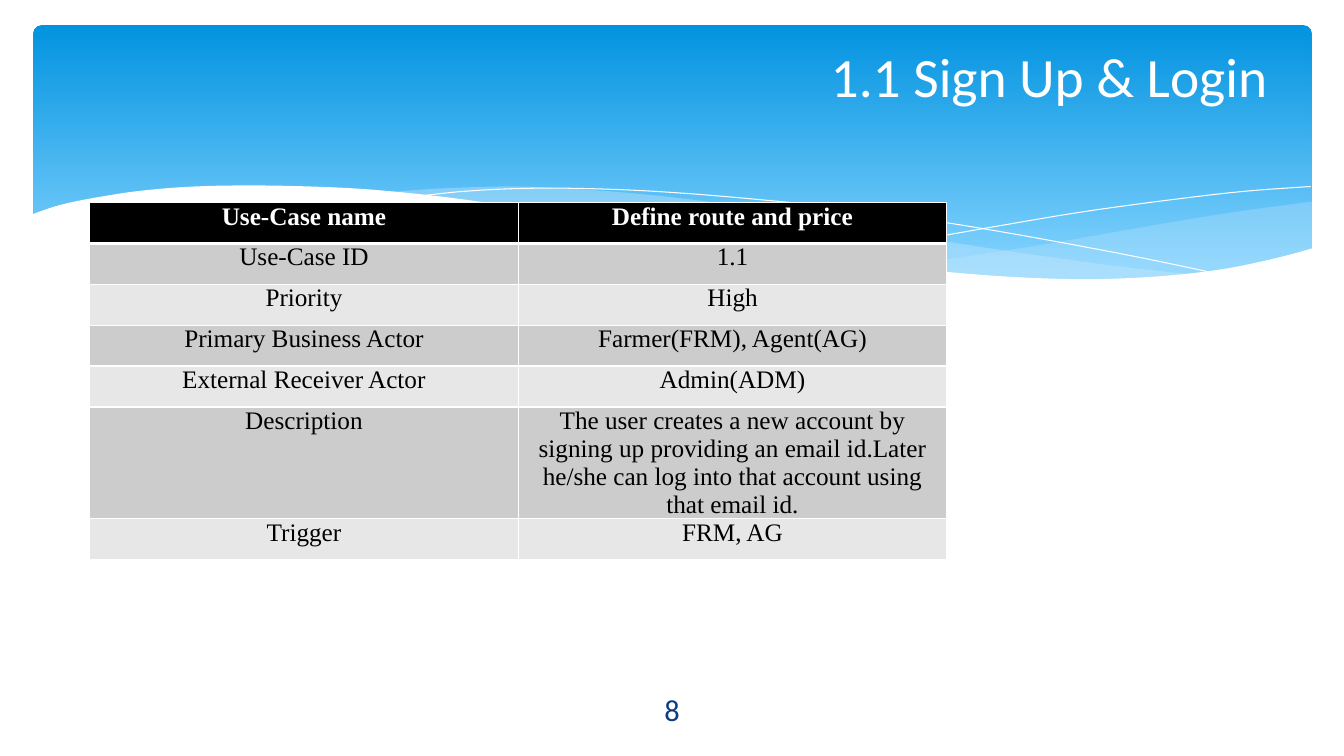
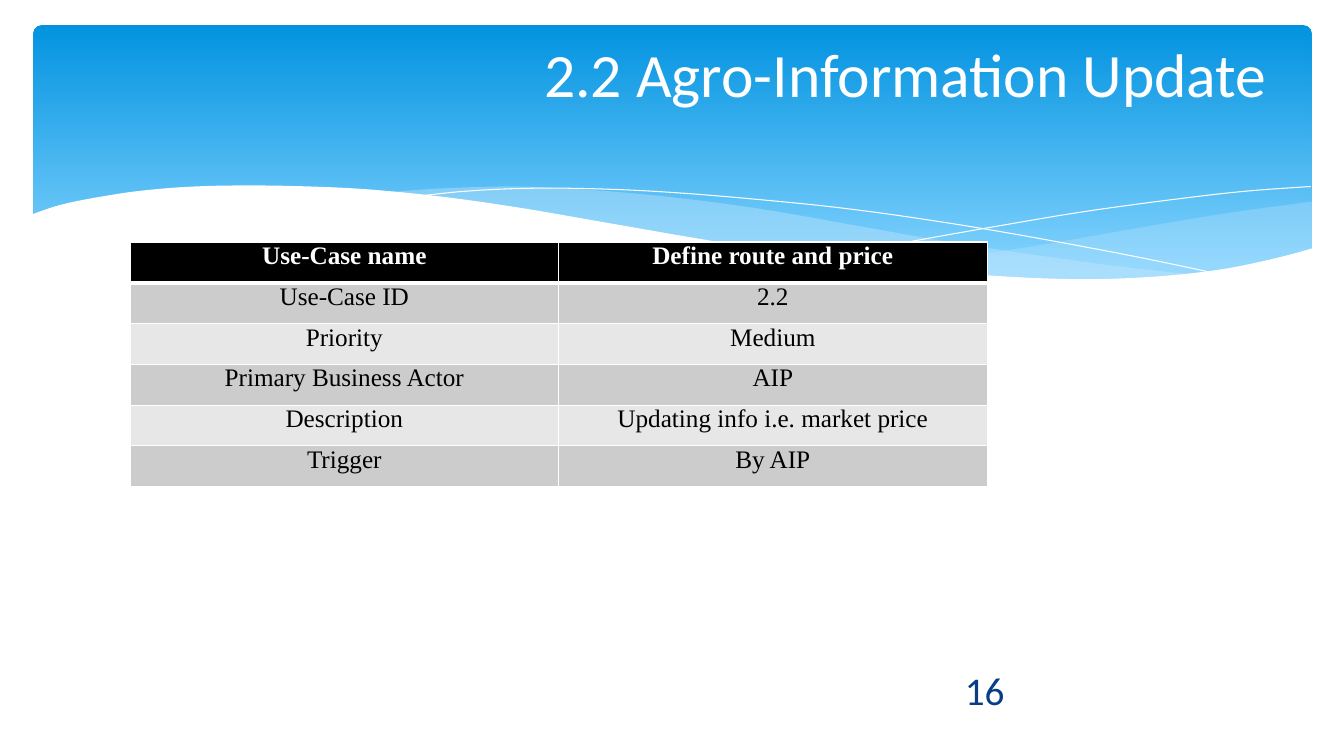
"""Build two use-case slides that share a wave band, a title and a page number."""
from pptx import Presentation
from pptx.dml.color import RGBColor
from pptx.enum.shapes import MSO_SHAPE
from pptx.enum.text import MSO_ANCHOR, PP_ALIGN
from pptx.oxml.ns import qn
from pptx.util import Pt
from lxml.etree import SubElement

PX = 9144
COLORS = {
    "band_top": "0293E0", "band_bottom": "83D3FE", "wave": "C6E7FC",
    "white": "FFFFFF", "black": "000000", "number": "073E87",
    "odd_row": "CCCCCC", "even_row": "E7E7E7",
}
HEADING_FONT = "Calibri"
TABLE_FONT = "Times New Roman"
BAND = (33, 25, 1268, 270)

BACK_WAVE = [
    [(1268, 175), (1194, 185), (1114, 198), (1005, 217), (908, 232), (849, 240)],
    [(849, 240), (925, 246), (992, 252), (1038, 253), (1066, 252), (1141, 248),
     (1214, 237), (1268, 222)],
]
MIDDLE_WAVE = [
    [(1157, 248), (1083, 240), (1001, 229), (908, 215), (806, 197), (726, 183),
     (653, 173), (586, 166), (527, 162), (473, 160), (404, 162), (349, 166)],
    [(349, 166), (423, 174), (506, 186), (566, 197), (673, 215), (769, 230),
     (854, 241), (930, 249), (997, 252), (1057, 253), (1110, 252), (1157, 248)],
]
FALLING_LINE = [
    [(379, 170), (425, 165), (483, 162), (544, 162), (619, 165), (709, 172),
     (815, 183), (937, 201), (1075, 226), (1177, 247)],
]
RISING_LINE = [
    [(785, 232), (863, 216), (964, 198), (1042, 185), (1122, 174), (1199, 165),
     (1267, 160)],
]
FRONT_WAVE = [
    [(1270, 221), (1233, 231), (1180, 242), (1118, 249), (1045, 252), (959, 249),
     (858, 240), (771, 229), (673, 214), (563, 195), (488, 182), (420, 172),
     (357, 165), (300, 161), (225, 159), (161, 160), (109, 164), (68, 170),
     (28, 178), (-2, 188)],
    [(-2, 304), (1270, 304)],
]

SLIDES = [
    {
        "title": "1.1 Sign Up & Login", "title_box": (67, 37, 1200, 76), "title_size": 39.6,
        "number": "8", "number_box": (582, 684, 169, 40), "number_size": 21.7,
        "table_box": (89, 201, 850, 284),
        "rows": [
            ("Use-Case name", "Define route and price"),
            ("Use-Case ID", "1.1"),
            ("Priority", "High"),
            ("Primary Business Actor", "Farmer(FRM), Agent(AG)"),
            ("External Receiver Actor", "Admin(ADM)"),
            ("Description", "The user creates a new account by signing up providing an "
             "email id.Later he/she can log into that account using that email id."),
            ("Trigger", "FRM, AG"),
        ],
    },
    {
        "title": "2.2 Agro-Information Update", "title_box": (67, 37, 1200, 70), "title_size": 44,
        "number": "16", "number_box": (939, 664, 75, 40), "number_size": 28,
        "table_box": (129, 240, 850, 243),
        "rows": [
            ("Use-Case name", "Define route and price"),
            ("Use-Case ID", "2.2"),
            ("Priority", "Medium"),
            ("Primary Business Actor", "AIP"),
            ("Description", "Updating info i.e. market price"),
            ("Trigger", "By AIP"),
        ],
    },
]


def rgb(name):
    """Return the named colour."""
    return RGBColor.from_string(COLORS[name])


def emu(box):
    """Turn a box in px into EMU."""
    return [length * PX for length in box]


def smooth(knots, steps=6):
    """Return points of a Catmull-Rom curve through the knots."""
    padded = [knots[0], *knots, knots[-1]]
    curve = [knots[0]]
    for a, b, c, d in zip(padded, padded[1:], padded[2:], padded[3:]):
        for step in range(1, steps + 1):
            t = step / steps
            curve.append(tuple(
                (2 * q + (r - p) * t + (2 * p - 5 * q + 4 * r - s) * t ** 2
                 + (3 * q - p - 3 * r + s) * t ** 3) / 2
                for p, q, r, s in zip(a, b, c, d)))
    return curve


def add_outline(slide, box, sections, closed):
    """Draw smooth sections, joined in order, relative to the box."""
    left, top = box[:2]
    points = [((left + x) * PX, (top + y) * PX)
              for section in sections for x, y in smooth(section)]
    builder = slide.shapes.build_freeform(*points[0], scale=1.0)
    builder.add_line_segments(points[1:], close=closed)
    outline = builder.convert_to_shape()
    outline.shadow.inherit = False
    return outline


def add_wave(slide, box, sections, color, opacity=100):
    """Draw a filled wave."""
    wave = add_outline(slide, box, sections, True)
    wave.line.fill.background()
    wave.fill.solid()
    wave.fill.fore_color.rgb = rgb(color)
    if opacity < 100:
        tint = wave.fill._xPr.find(qn("a:solidFill"))[0]
        SubElement(tint, qn("a:alpha")).set("val", str(opacity * 1000))


def add_hairline(slide, box, sections):
    """Draw a thin white curve."""
    hairline = add_outline(slide, box, sections, False)
    hairline.fill.background()
    hairline.line.color.rgb = rgb("white")
    hairline.line.width = 0


def add_band(slide, box):
    """Draw the gradient band with its waves."""
    band = slide.shapes.add_shape(MSO_SHAPE.ROUNDED_RECTANGLE, *emu(box))
    band.adjustments[0] = 0.03
    band.shadow.inherit = False
    band.line.fill.background()
    band.fill.gradient()
    band.fill.gradient_angle = 270
    stops = ((0, "band_top"), (0.9, "band_bottom"))
    for stop, (position, color) in zip(band.fill.gradient_stops, stops):
        stop.position = position
        stop.color.rgb = rgb(color)
    add_wave(slide, box, BACK_WAVE, "wave", 29)
    add_wave(slide, box, MIDDLE_WAVE, "wave", 40)
    add_hairline(slide, box, FALLING_LINE)
    add_hairline(slide, box, RISING_LINE)
    add_wave(slide, box, FRONT_WAVE, "white")


def add_run(paragraph, words, font, size, color, align, bold=False):
    """Add one styled run to the paragraph."""
    paragraph.alignment = align
    run = paragraph.add_run()
    run.text = words
    run.font.name = font
    run.font.size = Pt(size)
    run.font.bold = bold
    run.font.color.rgb = rgb(color)


def add_label(slide, box, words, size, color, align):
    """Place one line of heading text, centred vertically in the box."""
    frame = slide.shapes.add_textbox(*emu(box)).text_frame
    frame.word_wrap = True
    frame.vertical_anchor = MSO_ANCHOR.MIDDLE
    add_run(frame.paragraphs[0], words, HEADING_FONT, size, color, align)


def add_borders(cell, row_index):
    """Give the cell white borders, thicker below the header."""
    properties = cell._tc.get_or_add_tcPr()
    for side in "LRTB":
        points = 3 if (side, row_index) in (("B", 0), ("T", 1)) else 1
        border = SubElement(properties, qn(f"a:ln{side}"), w=str(Pt(points)))
        fill = SubElement(border, qn("a:solidFill"))
        SubElement(fill, qn("a:srgbClr"), val=COLORS["white"])


def add_use_case(slide, box, rows):
    """Place the use-case table in the box."""
    table = slide.shapes.add_table(len(rows), len(rows[0]), *emu(box)).table
    for row_index, row in enumerate(rows):
        header = row_index == 0
        shade = "black" if header else "odd_row" if row_index % 2 else "even_row"
        for column_index, words in enumerate(row):
            cell = table.cell(row_index, column_index)
            cell.margin_left = cell.margin_right = 7 * PX
            cell.margin_top = cell.margin_bottom = 0
            add_borders(cell, row_index)
            cell.fill.solid()
            cell.fill.fore_color.rgb = rgb(shade)
            add_run(cell.text_frame.paragraphs[0], words, TABLE_FONT, 18,
                    "white" if header else "black", PP_ALIGN.CENTER, header)


def add_use_case_slide(deck, content):
    """Add one use-case slide."""
    slide = deck.slides.add_slide(deck.slide_layouts[6])
    add_band(slide, BAND)
    add_use_case(slide, content["table_box"], content["rows"])
    add_label(slide, content["number_box"], content["number"],
              content["number_size"], "number", PP_ALIGN.CENTER)
    add_label(slide, content["title_box"], content["title"],
              content["title_size"], "white", PP_ALIGN.RIGHT)


def main():
    """Build and save the deck."""
    deck = Presentation()
    deck.slide_width, deck.slide_height = emu((1333, 750))
    for content in SLIDES:
        add_use_case_slide(deck, content)
    deck.save("out.pptx")


if __name__ == "__main__":
    main()
